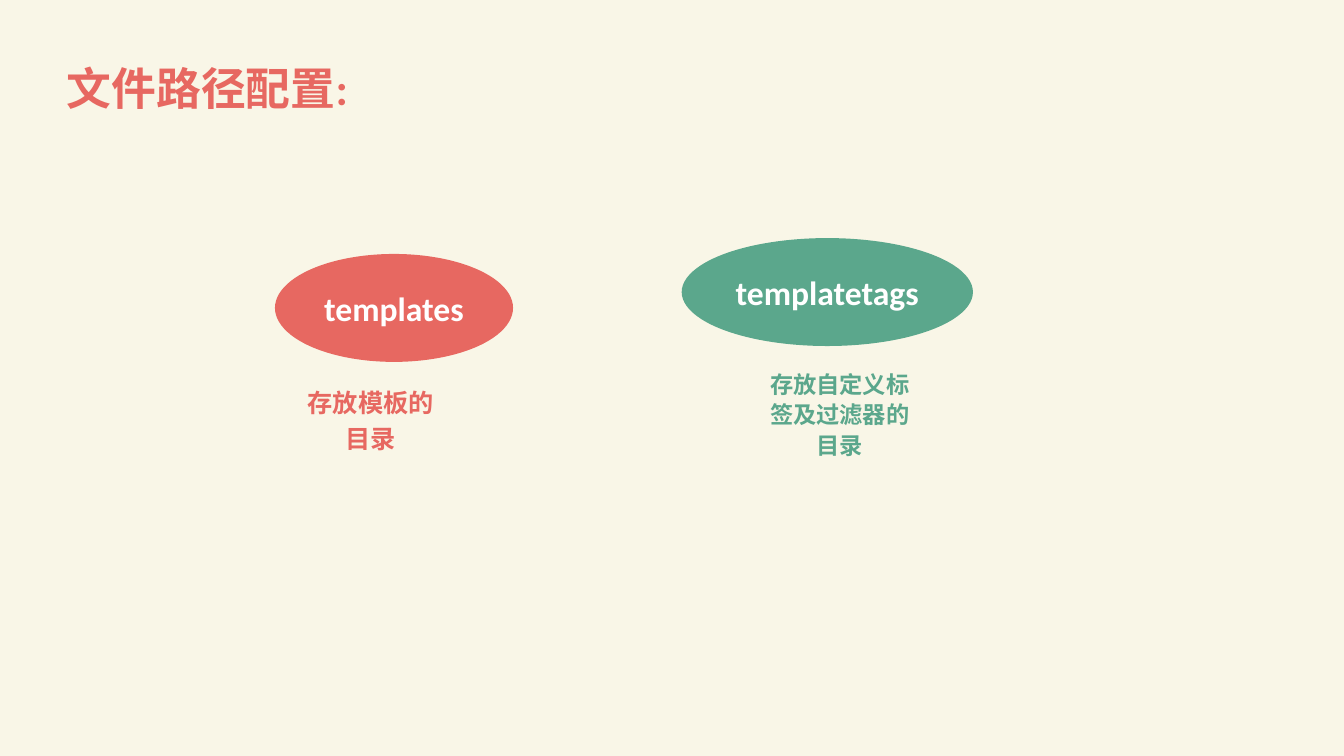
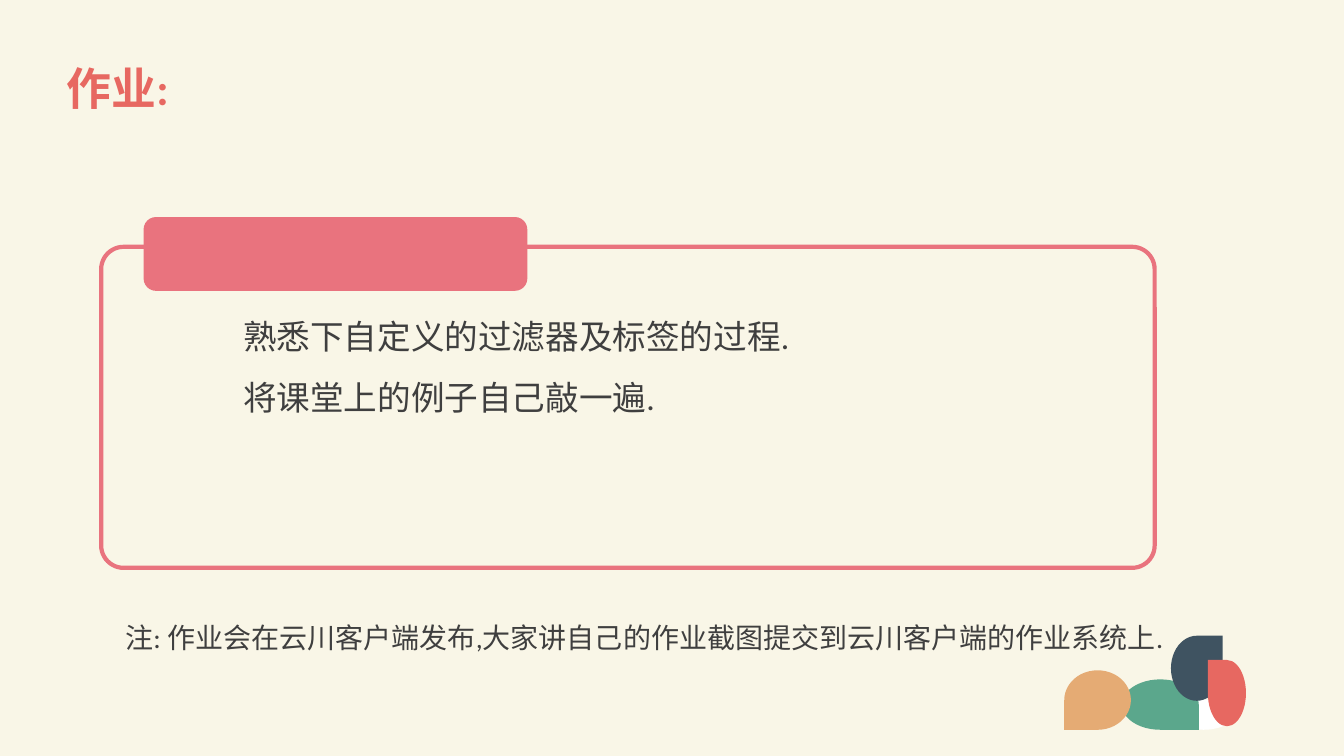
from pptx import Presentation
from pptx.util import Cm, Pt
from pptx.dml.color import RGBColor
from pptx.enum.shapes import MSO_SHAPE as Kind
from pptx.enum.text import PP_ALIGN as Align, MSO_ANCHOR as Anchor

FONT = "Calibri"
HUES = {"paper": "F9F6E7", "coral": "E76861", "green": "5BA78C", "navy": "3F5361",
        "sand": "E5AB74", "rose": "E9737E", "ink": "3F3F3F", "white": "FFFFFF"}
TITLE_BOX = (1.43, 0.94, 31.22, 2.69)

PATHS = "文件路径配置:"
FOLDERS = [
    ("templatetags", "green", (17.18, 6, 7.34, 2.72),
     "存放自定义标签及过滤器的目录", (19.01, 9.13, 4.3, 2.72), 16.6, 1.1),
    ("templates", "coral", (6.93, 6.4, 6, 2.72),
     "存放模板的目录", (7.19, 9.48, 4.3, 2.72), 18, 1.2),
]

TASKS = "作业:"
STEPS = ["熟悉下自定义的过滤器及标签的过程.", "将课堂上的例子自己敲一遍."]
NOTE = "注: 作业会在云川客户端发布,大家讲自己的作业截图提交到云川客户端的作业系统上."
FRAME = (2.55, 6.22, 26.55, 8.09)
TAB = (3.62, 5.47, 9.67, 1.86)
STEP_BOX = (5.88, 7.33, 15, 4.88)
NOTE_BOX = (2.91, 15.52, 26.59, 1.12)
PEBBLE = (29.57, 17.63, 1.52, 0.76)
TURNS = {"top right": 0, "bottom right": 90, "bottom left": 180, "top left": 270}
LEAVES = [
    ("green", "bottom right", (28.27, 17.12, 1.94, 1.27)),
    ("navy", "top right", (29.51, 16.02, 1.3, 1.64)),
    ("coral", "top left", (30.44, 16.63, 0.96, 1.67)),
    ("sand", "bottom left", (26.82, 16.89, 1.68, 1.5)),
]


def hue(name):
    return RGBColor.from_string(HUES[name])


def paint(shape, fill=None, line=None, width=3):
    shape.shadow.inherit = False
    if fill:
        shape.fill.solid()
        shape.fill.fore_color.rgb = hue(fill)
    else:
        shape.fill.background()
    if line:
        shape.line.color.rgb = hue(line)
        shape.line.width = Pt(width)
    else:
        shape.line.fill.background()


def write(shape, *lines, size=24, color="ink", bold=False, align=Align.LEFT,
          anchor=Anchor.TOP, space=1.0):
    frame = shape.text_frame
    frame.word_wrap = True
    frame.vertical_anchor = anchor
    frame.text = "\n".join(lines)
    for para in frame.paragraphs:
        para.alignment = align
        para.line_spacing = space
        font = para.runs[0].font
        font.name, font.size, font.bold = FONT, Pt(size), bold
        font.color.rgb = hue(color)


def label(slide, box, *lines, **form):
    write(slide.shapes.add_textbox(*map(Cm, box)), *lines, **form)


def block(slide, kind, box, **look):
    shape = slide.shapes.add_shape(kind, *map(Cm, box))
    paint(shape, **look)
    return shape


def leaf(slide, fill, corner, box):
    left, top, wide, high = box
    turn = TURNS[corner]
    if turn % 180:
        shift = (wide - high) / 2
        left, top, wide, high = left + shift, top - shift, high, wide
    block(slide, Kind.TEAR, (left, top, wide, high), fill=fill).rotation = turn


def page(deck, title):
    slide = deck.slides.add_slide(deck.slide_layouts[6])
    slide.background.fill.solid()
    slide.background.fill.fore_color.rgb = hue("paper")
    label(slide, TITLE_BOX, title, size=32, color="coral", bold=True,
          anchor=Anchor.MIDDLE, space=0.9)
    return slide


def main():
    """Build the folder slide and the homework slide."""
    deck = Presentation()
    deck.slide_width, deck.slide_height = Cm(33.87), Cm(19.05)

    slide = page(deck, PATHS)
    for name, color, oval, text, box, size, space in FOLDERS:
        write(block(slide, Kind.OVAL, oval, fill=color), name, color="white",
              bold=True, align=Align.CENTER, anchor=Anchor.MIDDLE)
        label(slide, box, text, size=size, color=color, bold=True,
              align=Align.CENTER, space=space)

    slide = page(deck, TASKS)
    block(slide, Kind.OVAL, PEBBLE, fill="white")
    for item in LEAVES:
        leaf(slide, *item)
    frame = block(slide, Kind.ROUNDED_RECTANGLE, FRAME, line="rose")
    frame.adjustments[0] = 0.07
    block(slide, Kind.ROUNDED_RECTANGLE, TAB, fill="rose")
    label(slide, STEP_BOX, *STEPS, space=1.5)
    label(slide, NOTE_BOX, NOTE, size=20)

    deck.save("out.pptx")


main()
